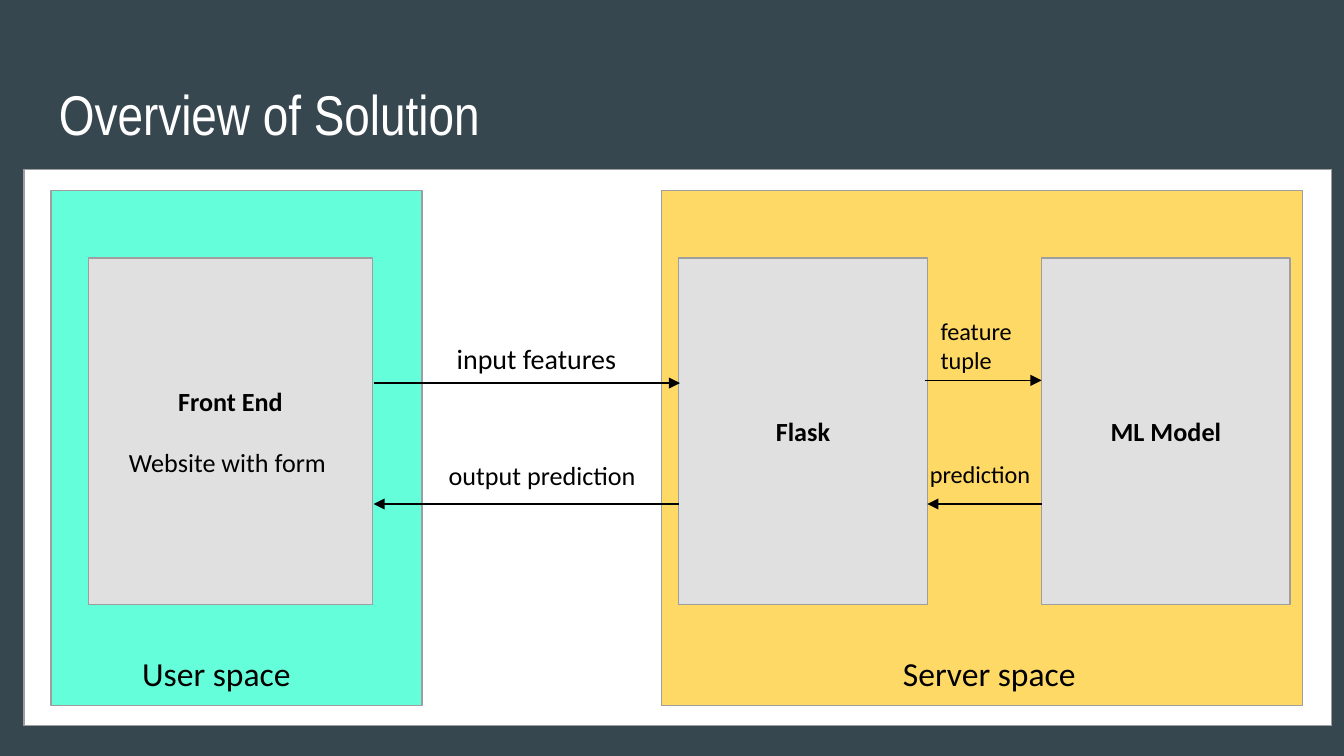
from pptx import Presentation
from pptx.dml.color import RGBColor
from pptx.enum import shapes, text
from pptx.oxml import ns, xmlchemy
from pptx.util import Inches, Pt

SLATE = RGBColor(0x37, 0x47, 0x4F)
WHITE = RGBColor(0xFF, 0xFF, 0xFF)
BLACK = RGBColor(0, 0, 0)
MINT = RGBColor(0x64, 0xFF, 0xDA)
AMBER = RGBColor(0xFF, 0xD9, 0x66)
LIGHT_GREY = RGBColor(0xE0, 0xE0, 0xE0)
BORDER = RGBColor(0x9E, 0x9E, 0x9E)

# Content: areas share a top and height, and so do components
SLIDE_WIDTH = Inches(10)
SLIDE_HEIGHT = SLIDE_WIDTH * 9 // 16
SPACE_TOP, SPACE_HEIGHT = 1.42, 3.83
COMPONENT_TOP, COMPONENT_HEIGHT = 1.92, 2.58
REPLY_Y = 3.75

PANEL = (0.18, 1.26, 9.73, 4.14)
SPACES = [  # left, width, fill
    (0.38, 2.76, MINT),
    (4.92, 4.77, AMBER),
]
COMPONENTS = [  # left, width, lines (the first is bold)
    (0.66, 2.11, ["Front End", "Website with form "]),
    (5.05, 1.85, ["Flask"]),
    (7.75, 1.85, ["ML Model"]),
]
FLOWS = [  # start x, start y, end x, end y
    (2.78, 2.85, 5.06, 2.85),
    (5.05, REPLY_Y, 2.78, REPLY_Y),
    (6.88, 2.83, 7.75, 2.83),
    (7.75, REPLY_Y, 6.9, REPLY_Y),
]
LABELS = [  # lines, left, top, width, height, size
    (["input features"], 3.3, 2.44, 1.46, 0.36, 15),
    (["output prediction"], 3.24, 3.32, 1.95, 0.36, 14),
    (["feature", "tuple"], 6.9, 2.25, 1.53, 0.36, 13),
    (["prediction"], 6.82, 3.32, 1.09, 0.36, 13),
    (["User space"], 0.96, 4.76, 1.46, 0.63, 18),
    (["Server space"], 6.62, 4.76, 2.2, 0.46, 18),
]
FRAME = {"word_wrap": True, "margin_left": Inches(0.1), "margin_right": Inches(0.1),
         "margin_top": Inches(0.1), "margin_bottom": Inches(0.1)}


def apply(target, values):
    for name, value in values.items():
        setattr(target, name, value)


def write(frame, lines, size, font="Calibri", color=BLACK, heading=False):
    apply(frame, FRAME)
    frame.vertical_anchor = text.MSO_ANCHOR.MIDDLE if heading else text.MSO_ANCHOR.TOP
    for i, line in enumerate(lines):
        paragraph = frame.add_paragraph() if i else frame.paragraphs[0]
        paragraph.alignment = text.PP_ALIGN.CENTER if heading else text.PP_ALIGN.LEFT
        if heading and i:
            paragraph.space_before = Pt(16)
        run = paragraph.add_run()
        run.text = line
        apply(run.font, {"name": font, "size": Pt(size), "bold": heading and i == 0})
        run.font.color.rgb = color


def add_box(slide, left, top, width, height, fill):
    box = slide.shapes.add_shape(shapes.MSO_SHAPE.RECTANGLE, *map(Inches, (left, top, width, height)))
    box.shadow.inherit = False
    box.fill.solid()
    box.fill.fore_color.rgb = fill
    box.line.color.rgb = BORDER
    box.line.width = Pt(0.75)
    return box


def add_label(slide, lines, left, top, width, height, size, **style):
    label = slide.shapes.add_textbox(*map(Inches, (left, top, width, height)))
    write(label.text_frame, lines, size, **style)


def add_arrow(slide, *ends):
    arrow = slide.shapes.add_connector(shapes.MSO_CONNECTOR.STRAIGHT, *map(Inches, ends))
    arrow.line.color.rgb = BLACK
    arrow.line.width = Pt(0.75)
    head = xmlchemy.OxmlElement("a:tailEnd")
    head.set("type", "triangle")
    properties = arrow.element.find(ns.qn("p:spPr"))
    properties.find(ns.qn("a:ln")).append(head)
    properties.append(xmlchemy.OxmlElement("a:effectLst"))


def main():
    deck = Presentation()
    apply(deck, {"slide_width": SLIDE_WIDTH, "slide_height": SLIDE_HEIGHT})
    slide = deck.slides.add_slide(deck.slide_layouts[6])
    slide.background.fill.solid()
    slide.background.fill.fore_color.rgb = SLATE

    # Title
    add_label(slide, ["Overview of Solution"], 0.34, 0.49, 9.32, 0.63, 30,
              font="Arial Narrow", color=WHITE)

    # Panel, spaces and components
    add_box(slide, *PANEL, WHITE)
    for left, width, fill in SPACES:
        add_box(slide, left, SPACE_TOP, width, SPACE_HEIGHT, fill)
    for left, width, lines in COMPONENTS:
        component = add_box(slide, left, COMPONENT_TOP, width, COMPONENT_HEIGHT, LIGHT_GREY)
        write(component.text_frame, lines, 14, heading=True)

    # Data flows and labels
    for flow in FLOWS:
        add_arrow(slide, *flow)
    for label in LABELS:
        add_label(slide, *label)

    deck.save("out.pptx")


if __name__ == "__main__":
    main()
